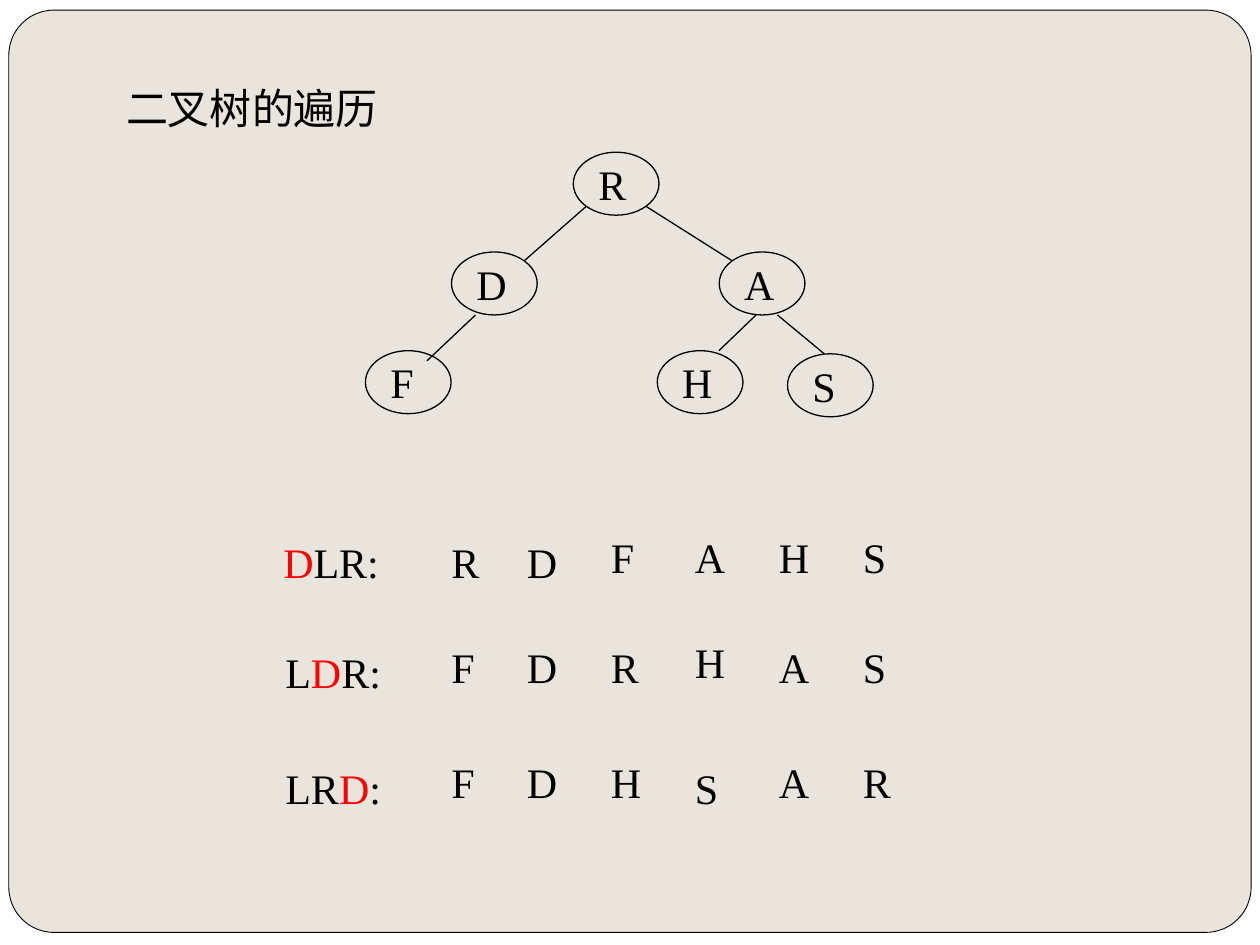
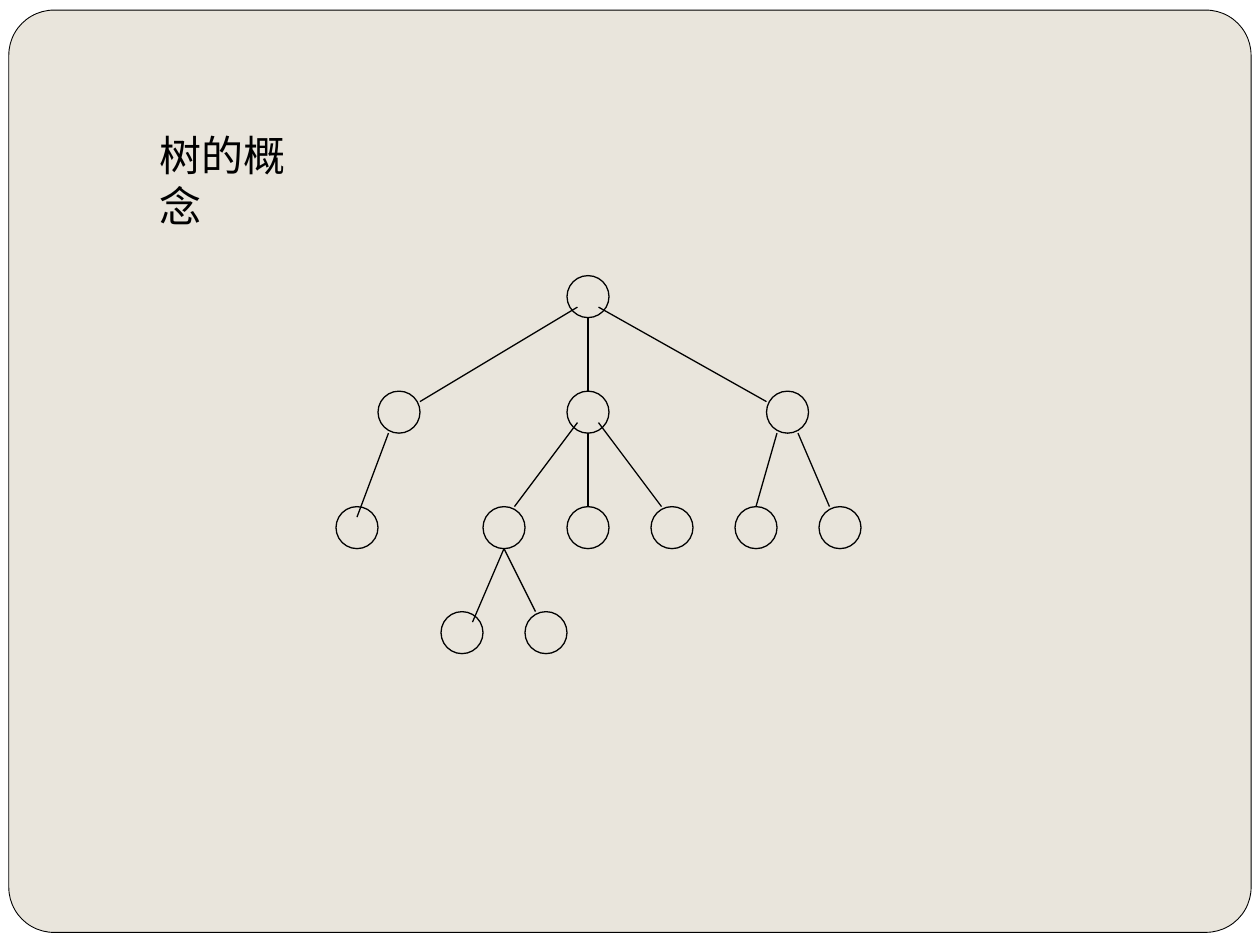
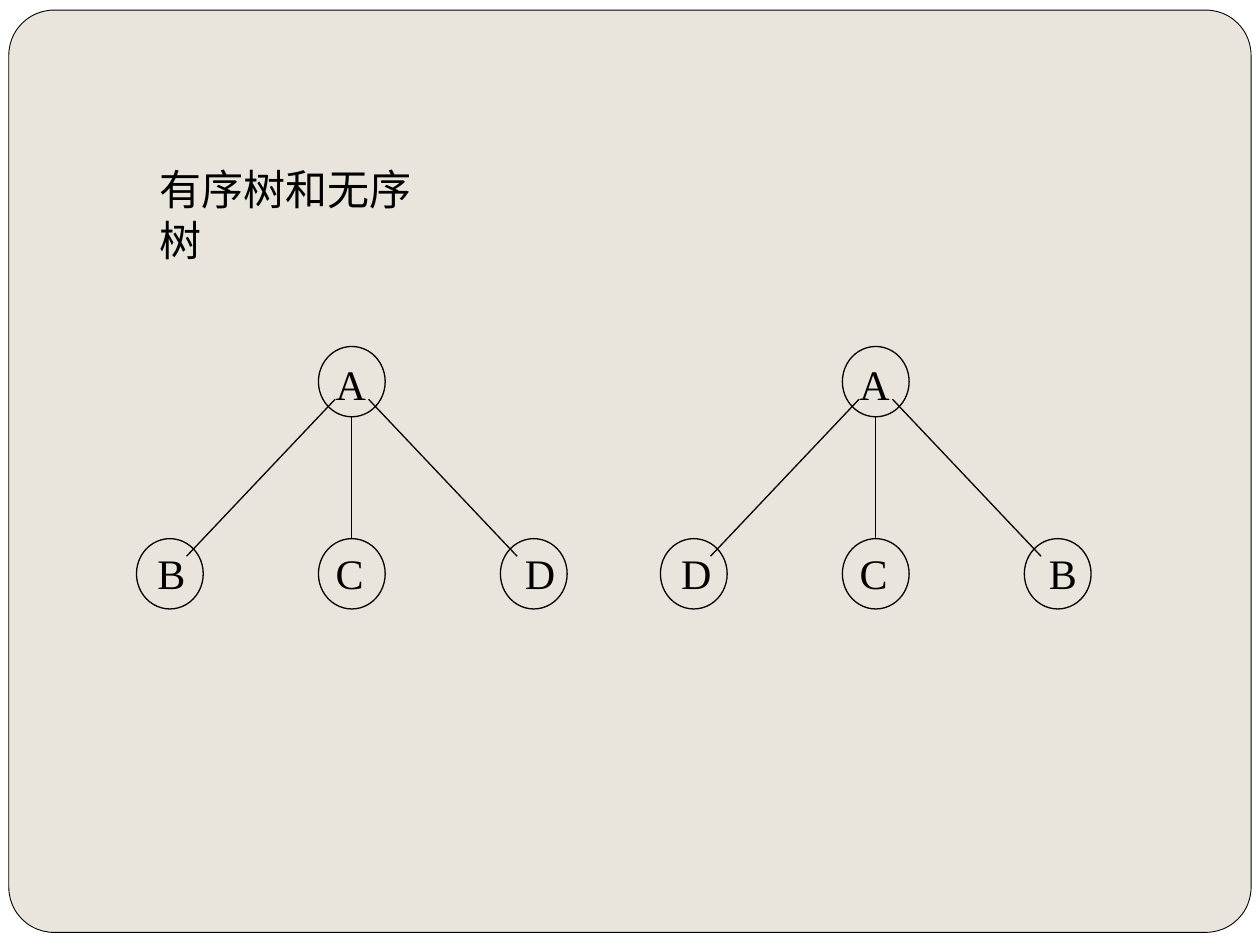
from dataclasses import dataclass, field
from typing import Any

from lxml.etree import SubElement
from pptx import Presentation
from pptx.dml.color import RGBColor as RGB
from pptx.enum.shapes import MSO_CONNECTOR as CONN, MSO_SHAPE as SHAPE
from pptx.enum.text import MSO_ANCHOR as ANCHOR, MSO_AUTO_SIZE as AUTO, PP_ALIGN as ALIGN
from pptx.oxml.ns import qn
from pptx.util import Inches, Pt

Point = tuple[float, float]
COLS, ROWS = 120, 90
WIDTH, HEIGHT = Inches(10), Inches(7.5)


@dataclass(frozen=True)
class Theme:
    ink: RGB = RGB.from_string("000000")
    accent: RGB = RGB.from_string("FF0000")
    panel: RGB = RGB.from_string("E9E5DC")
    paper: RGB = RGB.from_string("FFFFFF")
    font: str = "Times New Roman"
    size: Pt = Pt(24)
    line: Pt = Pt(0.75)
    frame_line: Pt = Pt(0.5)
    corner: float = 0.049


THEME = Theme()


@dataclass(frozen=True)
class Node:
    x: float
    y: float
    text: str = ""
    label_dx: float = 0
    label_dy: float = 0


@dataclass(frozen=True)
class Edge:
    parent: str
    child: str
    start: Point
    end: Point


@dataclass(frozen=True)
class Tree:
    size: Point
    nodes: dict[str, Node]
    edges: list[Edge]


@dataclass(frozen=True)
class Traversal:
    x: float
    y: float
    name: str
    letters: str
    letters_y: float
    shifts: dict[int, float] = field(default_factory=dict)


def col(n: float) -> int:
    return round(WIDTH * n / COLS)


def row(n: float) -> int:
    return round(HEIGHT * n / ROWS)


def apply(target: Any, values: dict[str, Any]) -> None:
    for name, value in values.items():
        setattr(target, name, value)


def add_run(p: Any, text: str, color: RGB = THEME.ink) -> None:
    r = p.add_run()
    r.text = text
    apply(r.font, {"name": THEME.font, "size": THEME.size})
    r.font.color.rgb = color


def add_text(s: Any, x: float, y: float, text: str, marked: str = "") -> None:
    widths = {**dict.fromkeys("RBC", 5.06), **dict.fromkeys("DAH", 5.3), **dict.fromkeys("FS", 4.62)}
    sp = s.shapes.add_textbox(col(x), row(y), col(widths.get(text, 11.5)), row(6))
    tf = sp.text_frame
    apply(tf, {"word_wrap": False, "auto_size": AUTO.SHAPE_TO_FIT_TEXT})
    before, mark, after = text.partition(marked) if marked else (text, "", "")
    for part, color in ((before, THEME.ink), (mark, THEME.accent), (after, THEME.ink)):
        if part:
            add_run(tf.paragraphs[0], part, color)


def add_title(s: Any, x: float, y: float, width: float, text: str) -> None:
    sp = s.shapes.title
    apply(sp, {"left": col(x), "top": row(y), "width": col(width), "height": row(6)})
    tf = sp.text_frame
    apply(tf, {"word_wrap": True, "auto_size": AUTO.NONE, "vertical_anchor": ANCHOR.TOP})
    p = tf.paragraphs[0]
    p.alignment = ALIGN.LEFT
    add_run(p, text)


def add_edge(s: Any, tree: Tree, edge: Edge, child_sp: Any) -> None:
    ends = []
    for key, (fx, fy) in ((edge.parent, edge.start), (edge.child, edge.end)):
        node = tree.nodes[key]
        ends += [col(node.x + fx * tree.size[0]), row(node.y + fy * tree.size[1])]
    cx = s.shapes.add_connector(CONN.STRAIGHT, *ends)
    if edge.end == (0.5, 0):
        cx.end_connect(child_sp, 0)
    cx.line.color.rgb = THEME.ink
    cx.line.width = THEME.line
    SubElement(cx.element.spPr, qn("a:effectLst"))


def add_tree(s: Any, tree: Tree) -> None:
    shapes = {}
    for key, node in tree.nodes.items():
        sp = s.shapes.add_shape(SHAPE.OVAL, col(node.x), row(node.y), col(tree.size[0]), row(tree.size[1]))
        sp.shadow.inherit = False
        sp.fill.background()
        sp.line.color.rgb = THEME.ink
        sp.line.width = THEME.line
        shapes[key] = sp
        if node.text:
            add_text(s, node.x + node.label_dx, node.y + node.label_dy, node.text)
    for edge in tree.edges:
        add_edge(s, tree, edge, shapes[edge.child])


def add_traversal(s: Any, t: Traversal) -> None:
    letter_cols = (41.8, *range(49, 82, 8))
    add_text(s, t.x, t.y, t.name, "D")
    for i, (x, letter) in enumerate(zip(letter_cols, t.letters)):
        add_text(s, x, t.letters_y + t.shifts.get(i, 0), letter)


def set_master(prs: Any, s: Any) -> None:
    master = prs.slide_master
    master.background.fill.solid()
    master.background.fill.fore_color.rgb = THEME.panel
    paper = s.shapes.add_shape(SHAPE.RECTANGLE, 0, 0, WIDTH, HEIGHT)
    frame = s.shapes.add_shape(SHAPE.ROUNDED_RECTANGLE, Inches(0.07), Inches(0.08), Inches(9.86), Inches(7.32))
    frame.adjustments[0] = THEME.corner
    for i, (sp, color) in enumerate(((paper, THEME.paper), (frame, THEME.panel))):
        sp.shadow.inherit = False
        sp.fill.solid()
        sp.fill.fore_color.rgb = color
        sp.line.fill.background()
        sp.element.nvSpPr.cNvPr.set("id", str(100 + i))
        master.element.cSld.spTree.insert(2 + i, sp.element)
    frame.line.color.rgb = THEME.ink
    frame.line.width = THEME.frame_line


def lettered_tree() -> Tree:
    places = {"R": (54.6, 14.5), "D": (43, 24), "A": (68.5, 24),
              "F": (34.8, 33.4), "H": (62.6, 33.4), "S": (75, 33.7)}
    return Tree(
        (8.16, 6),
        {k: Node(x, y, k, 1.2) for k, (x, y) in places.items()},
        [Edge("R", "D", (0.15, 0.86), (0.85, 0.14)),
         Edge("R", "A", (0.85, 0.86), (0.15, 0.14)),
         Edge("D", "F", (0.28, 1), (0.72, 0.16)),
         Edge("A", "H", (0.43, 1), (0.72, 0)),
         Edge("A", "S", (0.68, 1), (0.43, 0))])


def concept_tree() -> Tree:
    levels = {26.25: {"root": 54},
              37.25: {"left": 36, "mid": 54, "right": 73},
              48.25: {"left1": 32, "mid1": 46, "mid2": 54, "mid3": 62, "right1": 70, "right2": 78},
              58.25: {"leaf1": 42, "leaf2": 50}}
    return Tree(
        (4, 4),
        {k: Node(x, y) for y, level in levels.items() for k, x in level.items()},
        [Edge("root", "left", (0.25, 0.75), (1, 0.25)),
         Edge("root", "mid", (0.5, 1), (0.5, 0)),
         Edge("root", "right", (0.75, 0.75), (0, 0.25)),
         Edge("left", "left1", (0.25, 1), (0.5, 0.25)),
         Edge("mid", "mid1", (0.25, 0.75), (0.75, 0)),
         Edge("mid", "mid2", (0.5, 1), (0.5, 0)),
         Edge("mid", "mid3", (0.75, 0.75), (0.25, 0)),
         Edge("right", "right1", (0.25, 1), (0.5, 0)),
         Edge("right", "right2", (0.75, 1), (0.25, 0)),
         Edge("mid1", "leaf1", (0.5, 1), (0.75, 0.25)),
         Edge("mid1", "leaf2", (0.5, 1), (0.25, 0))])


def three_child_tree(x: float, children: str) -> Tree:
    step = 17.33
    nodes = {"root": Node(x + step, 33, "A", 0.45, 0.6)}
    for i, (letter, dx) in enumerate(zip(children, (0.8, 0.45, 1.15))):
        nodes[letter] = Node(x + i * step, 51.3, letter, dx, 0.25)
    joints = (((0.25, 0.75), (0.75, 0.25)), ((0.5, 1), (0.5, 0)), ((0.75, 0.75), (0.25, 0.25)))
    return Tree((6.36, 6.7), nodes, [Edge("root", k, a, b) for k, (a, b) in zip(children, joints)])


TRAVERSALS = [
    Traversal(25.8, 50.5, "DLR:", "RDFAHS", 50, {0: 0.5, 1: 0.5}),
    Traversal(26, 61, "LDR:", "FDRHAS", 60.5, {3: -0.5}),
    Traversal(26, 72, "LRD:", "FDHSAR", 71.5, {3: 0.5}),
]


def main() -> None:
    prs = Presentation()
    apply(prs, {"slide_width": WIDTH, "slide_height": HEIGHT})
    traversal, concept, order = (prs.slides.add_slide(prs.slide_layouts[5]) for _ in range(3))
    set_master(prs, traversal)

    add_title(traversal, 10.8, 7.3, 27, "二叉树的遍历")
    add_tree(traversal, lettered_tree())
    for t in TRAVERSALS:
        add_traversal(traversal, t)

    add_title(concept, 14, 11.75, 18.2, "树的概念")
    add_tree(concept, concept_tree())

    add_title(order, 14, 15, 30, "有序树和无序树")
    for x, children in ((13, "BCD"), (62.9, "DCB")):
        add_tree(order, three_child_tree(x, children))

    prs.save("out.pptx")


if __name__ == "__main__":
    main()
